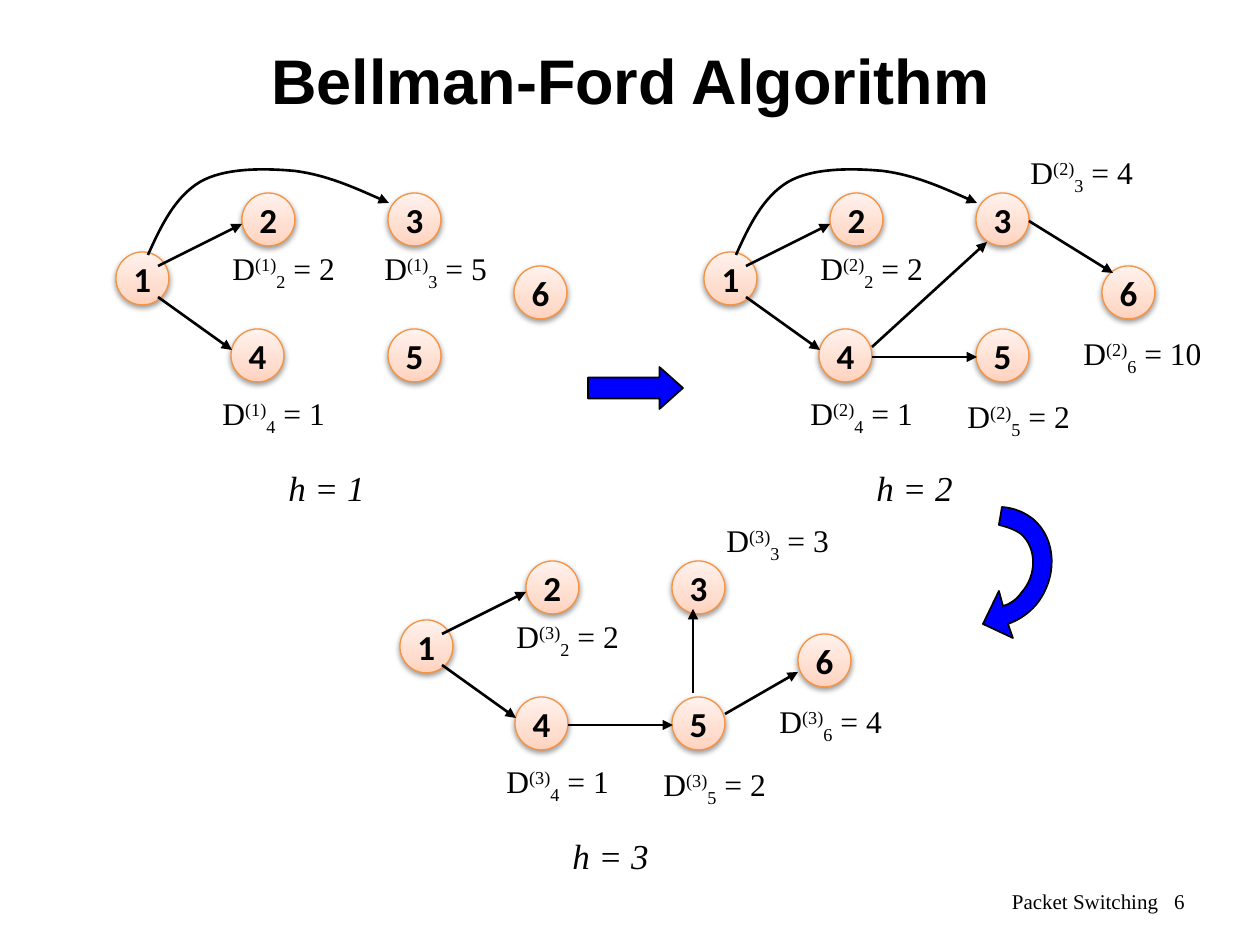
from copy import deepcopy
from dataclasses import dataclass
from typing import Optional

from lxml.etree import SubElement
from pptx import Presentation
from pptx.dml.color import RGBColor
from pptx.enum.shapes import MSO_CONNECTOR, MSO_SHAPE
from pptx.enum.text import MSO_ANCHOR, MSO_AUTO_SIZE, PP_ALIGN
from pptx.oxml.ns import qn
from pptx.util import Pt

PIXEL = 914400 / 126
BLACK = RGBColor(0x00, 0x00, 0x00)
BLUE = RGBColor(0x00, 0x00, 0xFF)
ORANGE = RGBColor(0xF6, 0x92, 0x40)
NODE_STOPS = [(0, RGBColor(0xFF, 0xD2, 0xBD)), (0.35, RGBColor(0xFF, 0xDE, 0xD0)),
              (1, RGBColor(0xFF, 0xF2, 0xED))]
SERIF = "Times New Roman"
NODE_SIZE = 53

Point = tuple[int, int]
NODES: dict[int, Point] = {2: (242, 193), 3: (388, 193), 1: (116, 252),
                           4: (231, 329), 6: (514, 266), 5: (388, 329)}
LABELS: dict[int, Point] = {2: (220, 243), 3: (430, 147), 4: (210, 388),
                            5: (367, 391), 6: (483, 328)}
NEAR_LABEL_3: Point = (372, 243)
HOP_LABEL: Point = (276, 460)
EDGES: dict[tuple[int, int], tuple[Point, Point]] = {
    (1, 2): ((158, 266), (242, 224)),
    (1, 4): ((158, 297), (232, 350)),
    (4, 3): ((284, 347), (399, 242)),
    (4, 5): ((284, 357), (389, 357)),
    (3, 6): ((441, 221), (525, 273)),
    (5, 3): ((409, 325), (409, 241)),
    (5, 6): ((441, 346), (514, 304)),
}
ARC_1_TO_3: list[Point] = [
    (148, 255), (161, 226), (175, 197), (200, 182), (224, 168), (263, 168),
    (295, 171), (326, 175), (358, 189), (389, 203)]
TURN_ARROW: list[Point] = [
    (1003, 606), (1011, 604), (1017, 599), (1022, 592), (1037, 575), (1037, 548),
    (1021, 534), (1014, 529), (1007, 527), (999, 525), (1002, 507), (1014, 508),
    (1024, 512), (1033, 519), (1057, 539), (1058, 578), (1036, 605), (1028, 614),
    (1019, 620), (1008, 624), (1013, 638), (983, 624), (999, 591)]


@dataclass(frozen=True)
class Panel:
    """One iteration of the algorithm."""
    hop: int
    origin: Point
    distances: dict[int, int]
    edges: list[tuple[int, int]]
    has_arc: bool


PANELS = [
    Panel(1, (0, 0), {2: 2, 3: 5, 4: 1}, [(1, 2), (1, 4)], True),
    Panel(2, (588, 0), {2: 2, 3: 4, 4: 1, 6: 10, 5: 2},
          [(1, 2), (1, 4), (4, 3), (4, 5), (3, 6)], True),
    Panel(3, (284, 368), {2: 2, 3: 3, 4: 1, 6: 4, 5: 2},
          [(1, 2), (1, 4), (5, 3), (4, 5), (5, 6)], False),
]


def emu(*pixels: int) -> list[int]:
    """Turn pixels into EMU."""
    return [round(pixel * PIXEL) for pixel in pixels]


def shift(point: Point, origin: Point) -> Point:
    """Move a point by the origin of its panel."""
    return point[0] + origin[0], point[1] + origin[1]


def add_span(para, text: str, size: int, font: str = SERIF, bold: bool = False,
             italic: bool = False, baseline: int = 0, spacing: int = 0) -> None:
    """Add one formatted run."""
    span = para.add_run()
    span.text = text
    span.font.size, span.font.name = Pt(size), font
    span.font.bold, span.font.italic = bold, italic
    span.font.color.rgb = BLACK
    properties = span.font._element
    if baseline:
        properties.set("baseline", str(baseline * 1000))
    if spacing:
        properties.set("spc", str(spacing * 100))


def add_label(page, corner: Point, width: int, height: int):
    """Add a text box that fits its text and return its paragraph."""
    box = page.shapes.add_textbox(*emu(*corner, width, height))
    box.text_frame.word_wrap = False
    box.text_frame.auto_size = MSO_AUTO_SIZE.SHAPE_TO_FIT_TEXT
    return box.text_frame.paragraphs[0]


def add_distance(page, corner: Point, hop: int, node: int, value: int) -> None:
    """Add a distance label with its superscript and subscript."""
    para = add_label(page, corner, 132 if value < 10 else 149, 50)
    for text, baseline in (("D", 0), (f"({hop})", 30), (str(node), -25), (f" = {value}", 0)):
        add_span(para, text, 18, baseline=baseline)


def add_node(page, corner: Point, number: int) -> None:
    """Add a numbered network node."""
    node = page.shapes.add_shape(MSO_SHAPE.OVAL, *emu(*corner, NODE_SIZE, NODE_SIZE))
    node.fill.gradient()
    node.fill.gradient_angle = 90
    stop_list = node._element.spPr.find(".//" + qn("a:gsLst"))
    stop_list.append(deepcopy(stop_list[0]))
    for stop, (position, color) in zip(node.fill.gradient_stops, NODE_STOPS):
        stop.position = position
        stop.color.rgb = color
    node.line.color.rgb, node.line.width = ORANGE, Pt(0.75)
    node.shadow.inherit = False
    effects = node._element.spPr.find(qn("a:effectLst"))
    shadow = SubElement(effects, qn("a:outerShdw"), blurRad="40000", dist="20000",
                        dir="5400000", rotWithShape="0")
    shade = SubElement(shadow, qn("a:srgbClr"), val=str(BLACK))
    SubElement(shade, qn("a:alpha"), val="38000")
    frame = node.text_frame
    frame.word_wrap, frame.vertical_anchor = False, MSO_ANCHOR.MIDDLE
    frame.paragraphs[0].alignment = PP_ALIGN.CENTER
    add_span(frame.paragraphs[0], str(number), 20, "Calibri", bold=True)


def add_arrowhead(line) -> None:
    """Put a triangle at the end of a line."""
    line.color.rgb, line.width = BLACK, Pt(1.5)
    SubElement(line._get_or_add_ln(), qn("a:tailEnd"), type="triangle")


def add_edge(page, start: Point, end: Point) -> None:
    """Add a straight arrow."""
    edge = page.shapes.add_connector(MSO_CONNECTOR.STRAIGHT, *emu(*start, *end))
    add_arrowhead(edge.line)
    SubElement(edge._element.spPr, qn("a:effectLst"))


def add_outline(page, points: list[Point], kinds: str, closed: bool):
    """Add a freeform; each kind is C (curve, three points) or L (line, one point)."""
    builder = page.shapes.build_freeform(*points[0], scale=PIXEL)
    builder.add_line_segments(points[1:], close=closed)
    outline = builder.convert_to_shape()
    outline.shadow.inherit = False
    segments = iter(outline._element.findall(".//" + qn("a:lnTo")))
    for kind in kinds:
        segment = next(segments)
        if kind == "C":
            segment.tag
            curve = segment.getparent().makeelement(qn("a:cubicBezTo"), {})
            segment.addprevious(curve)
            for part in (segment, next(segments), next(segments)):
                curve.append(part[0])
                part.getparent().remove(part)
    return outline


def paint_blue(shape) -> None:
    """Give a block arrow its fill and line."""
    shape.shadow.inherit = False
    shape.fill.solid()
    shape.fill.fore_color.rgb = BLUE
    shape.line.color.rgb, shape.line.width = BLACK, Pt(1)


def add_panel(page, panel: Panel) -> None:
    """Draw the graph of one iteration."""
    for number, corner in NODES.items():
        add_node(page, shift(corner, panel.origin), number)
    for key in panel.edges:
        add_edge(page, *(shift(point, panel.origin) for point in EDGES[key]))
    if panel.has_arc:
        arc = add_outline(page, [shift(point, panel.origin) for point in ARC_1_TO_3], "CCC", False)
        arc.fill.background()
        add_arrowhead(arc.line)
    for node, value in panel.distances.items():
        corner = NEAR_LABEL_3 if (panel.hop, node) == (1, 3) else LABELS[node]
        add_distance(page, shift(corner, panel.origin), panel.hop, node, value)
    para = add_label(page, shift(HOP_LABEL, panel.origin), 102, 54)
    add_span(para, f"h = {panel.hop}", 20, italic=True)


def add_heading(page, text: str, corner: Optional[Point] = (95, 0)) -> None:
    """Fill the title placeholder."""
    title = page.shapes.title
    title.left, title.top, title.width, title.height = emu(*corner, 1071, 158)
    title.text_frame.vertical_anchor = MSO_ANCHOR.MIDDLE
    para = title.text_frame.paragraphs[0]
    para.alignment = PP_ALIGN.CENTER
    add_span(para, text, 36, "Arial", bold=True)


def add_footer(page) -> None:
    """Add the chapter name and the page number."""
    frame = page.shapes.add_textbox(*emu(903, 876, 294, 50)).text_frame
    frame.word_wrap, frame.vertical_anchor = True, MSO_ANCHOR.MIDDLE
    para = frame.paragraphs[0]
    para.alignment = PP_ALIGN.RIGHT
    add_span(para, "Packet Switching", 12)
    add_span(para, " ", 12, spacing=6)
    add_span(para, "6", 12)


deck = Presentation()
deck.slide_width, deck.slide_height = emu(1260, 945)
page = deck.slides.add_slide(deck.slide_layouts[5])
add_heading(page, "Bellman-Ford Algorithm")
add_footer(page)
for panel in PANELS:
    add_panel(page, panel)
next_arrow = page.shapes.add_shape(MSO_SHAPE.RIGHT_ARROW, *emu(588, 367, 95, 42))
next_arrow.adjustments[1] = 0.56
paint_blue(next_arrow)
paint_blue(add_outline(page, TURN_ARROW, "CCCLCCCLLL", True))
deck.save("out.pptx")
